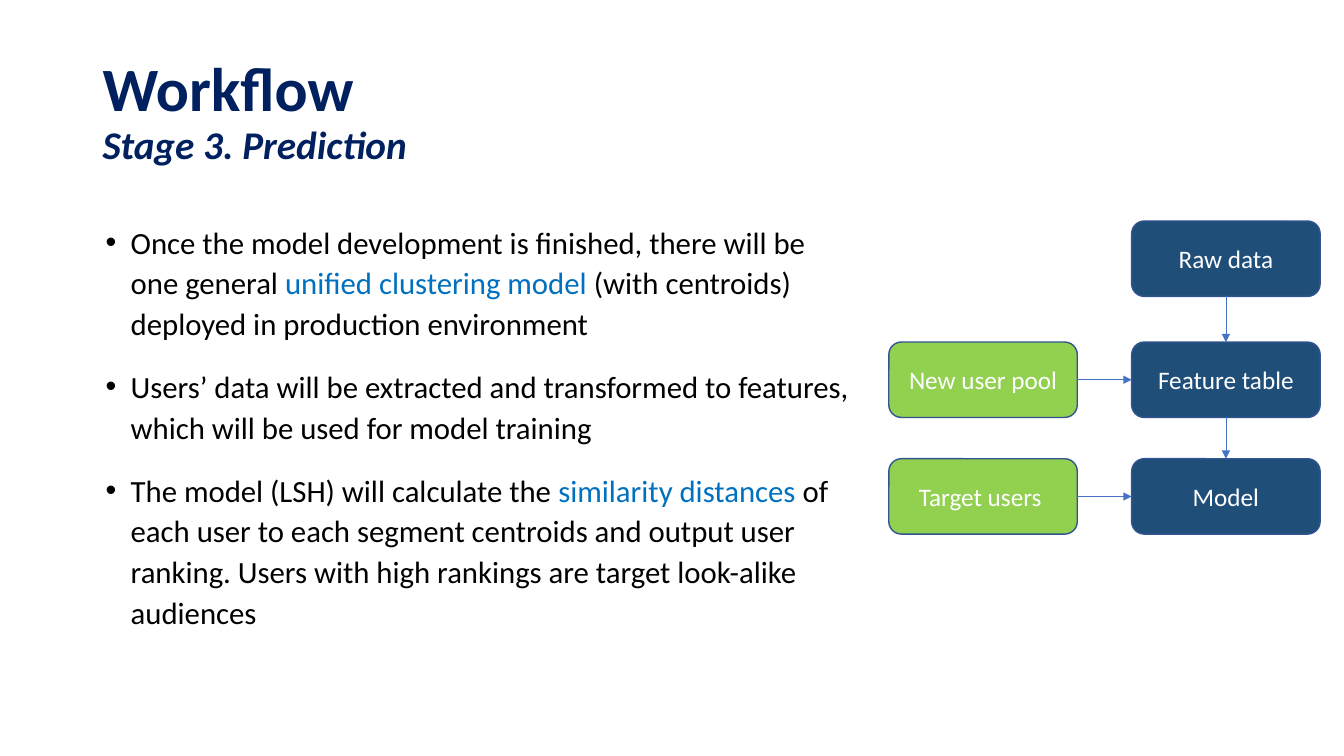
import pptx
import pptx.util
import pptx.dml.color
import pptx.enum.shapes
import pptx.enum.text
import pptx.oxml
import pptx.oxml.ns
import lxml.etree

Cm = pptx.util.Cm
Pt = pptx.util.Pt
qn = pptx.oxml.ns.qn
PP_ALIGN = pptx.enum.text.PP_ALIGN
MSO_ANCHOR = pptx.enum.text.MSO_ANCHOR
NAVY, BLUE, GREEN = "002060", "1F4E79", "92D050"
BLACK, WHITE, ACCENT = "000000", "FFFFFF", "0070C0"
OUTLINE, ARROW = "325491", "4472C4"
TOP, LEFT, BOTTOM, RIGHT = range(4)


def color(hex_code):
    return pptx.dml.color.RGBColor.from_string(hex_code)


def add_run(p, text, size, hex_code, bold=False, italic=False):
    r = p.add_run()
    r.text = text
    r.font.name = "Calibri"
    r.font.size = Pt(size)
    r.font.bold = bold
    r.font.italic = italic
    r.font.color.rgb = color(hex_code)


def add_title(s, x, y, w, h):
    sp = s.shapes.title
    sp.left, sp.top, sp.width, sp.height = Cm(x), Cm(y), Cm(w), Cm(h)
    tf = sp.text_frame
    tf.auto_size = pptx.enum.text.MSO_AUTO_SIZE.NONE
    tf.vertical_anchor = MSO_ANCHOR.MIDDLE
    p = tf.paragraphs[0]
    p.alignment = PP_ALIGN.LEFT
    p.line_spacing = 0.9
    add_run(p, "Workflow", 44, NAVY, bold=True)
    p.add_line_break()
    add_run(p, "Stage 3. Prediction ", 28, NAVY, bold=True, italic=True)


def add_bullets(s, x, y, w, h, bullets):
    tf = s.shapes.add_textbox(Cm(x), Cm(y), Cm(w), Cm(h)).text_frame
    tf.word_wrap = True
    for i, runs in enumerate(bullets):
        p = tf.add_paragraph() if i else tf.paragraphs[0]
        p.line_spacing = 1.1
        p.space_before, p.space_after = Pt(10), Pt(6)
        pPr = p._p.get_or_add_pPr()
        pPr.set("marL", str(Pt(18)))
        pPr.set("indent", str(-Pt(18)))
        lxml.etree.SubElement(pPr, qn("a:buFont")).set("typeface", "Arial")
        lxml.etree.SubElement(pPr, qn("a:buChar")).set("char", "•")
        for text, hex_code in runs:
            add_run(p, text, 22, hex_code)


def add_node(s, x, y, w, h, text, fill):
    sp = s.shapes.add_shape(pptx.enum.shapes.MSO_SHAPE.ROUNDED_RECTANGLE, Cm(x), Cm(y), Cm(w), Cm(h))
    sp.shadow.inherit = False
    sp.fill.solid()
    sp.fill.fore_color.rgb = color(fill)
    sp.line.color.rgb = color(OUTLINE)
    sp.line.width = Pt(1)
    tf = sp.text_frame
    tf.word_wrap = True
    tf.vertical_anchor = MSO_ANCHOR.MIDDLE
    p = tf.paragraphs[0]
    p.alignment = PP_ALIGN.CENTER
    add_run(p, text, 18, WHITE)
    return sp


def add_arrow(s, start, start_site, end, end_site):
    cx = s.shapes.add_connector(pptx.enum.shapes.MSO_CONNECTOR.STRAIGHT, 0, 0, 0, 0)
    cx.begin_connect(start, start_site)
    cx.end_connect(end, end_site)
    cx.line.color.rgb = color(ARROW)
    cx.line.width = Pt(0.5)
    lxml.etree.SubElement(cx.line._get_or_add_ln(), qn("a:tailEnd")).set("type", "triangle")
    lxml.etree.SubElement(cx._element.spPr, qn("a:effectLst"))


def add_flow(s, x, y, w, h):
    node_w, node_h = 4.75, 1.9
    right = x + w - node_w
    rows = [y, y + 3.05, y + h - node_h]
    stages = [add_node(s, right, top, node_w, node_h, text, BLUE)
              for top, text in zip(rows, ["Raw data", "Feature table", "Model"])]
    inputs = [add_node(s, x, top, node_w, node_h, text, GREEN)
              for top, text in zip(rows[1:], ["New user pool", "Target users "])]
    for upper, lower in zip(stages, stages[1:]):
        add_arrow(s, upper, BOTTOM, lower, TOP)
    for source, stage in zip(inputs, stages[1:]):
        add_arrow(s, source, RIGHT, stage, LEFT)


prs = pptx.Presentation()
prs.slide_width, prs.slide_height = Cm(33.87), Cm(19.05)
s = prs.slides.add_slide(prs.slide_layouts[5])
add_title(s, 2.33, 1.01, 29.21, 3.68)
add_bullets(s, 2.41, 5.41, 19.5, 10.6, [
    [("Once the model development is finished, there will be one general ", BLACK),
     ("unified clustering model ", ACCENT),
     ("(with centroids) deployed in production environment", BLACK)],
    [("Users’ data will be extracted and transformed to features, "
      "which will be used for model training", BLACK)],
    [("The model (LSH) will calculate the ", BLACK),
     ("similarity distances ", ACCENT),
     ("of each user to each segment centroids and output user ranking. "
      "Users with high rankings are target look-alike audiences", BLACK)],
])
add_flow(s, 22.4, 5.57, 10.87, 7.89)
prs.save("out.pptx")
